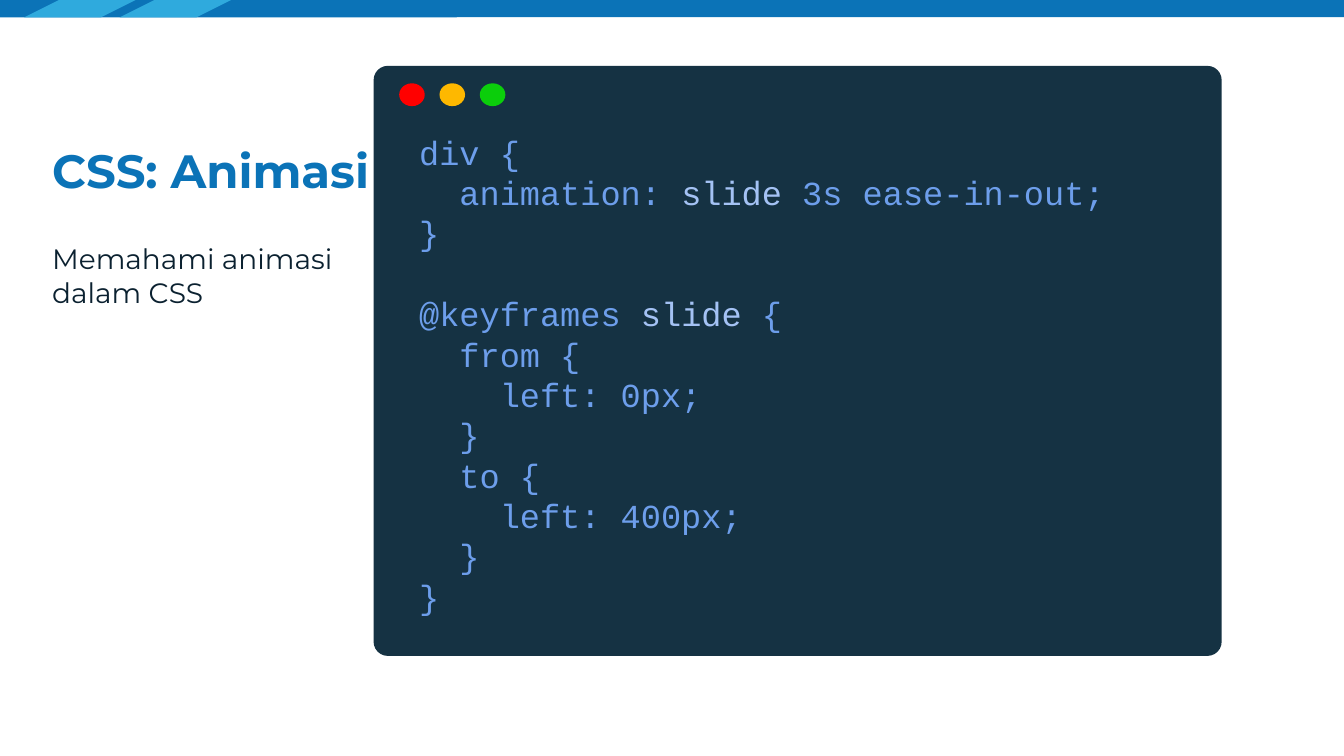
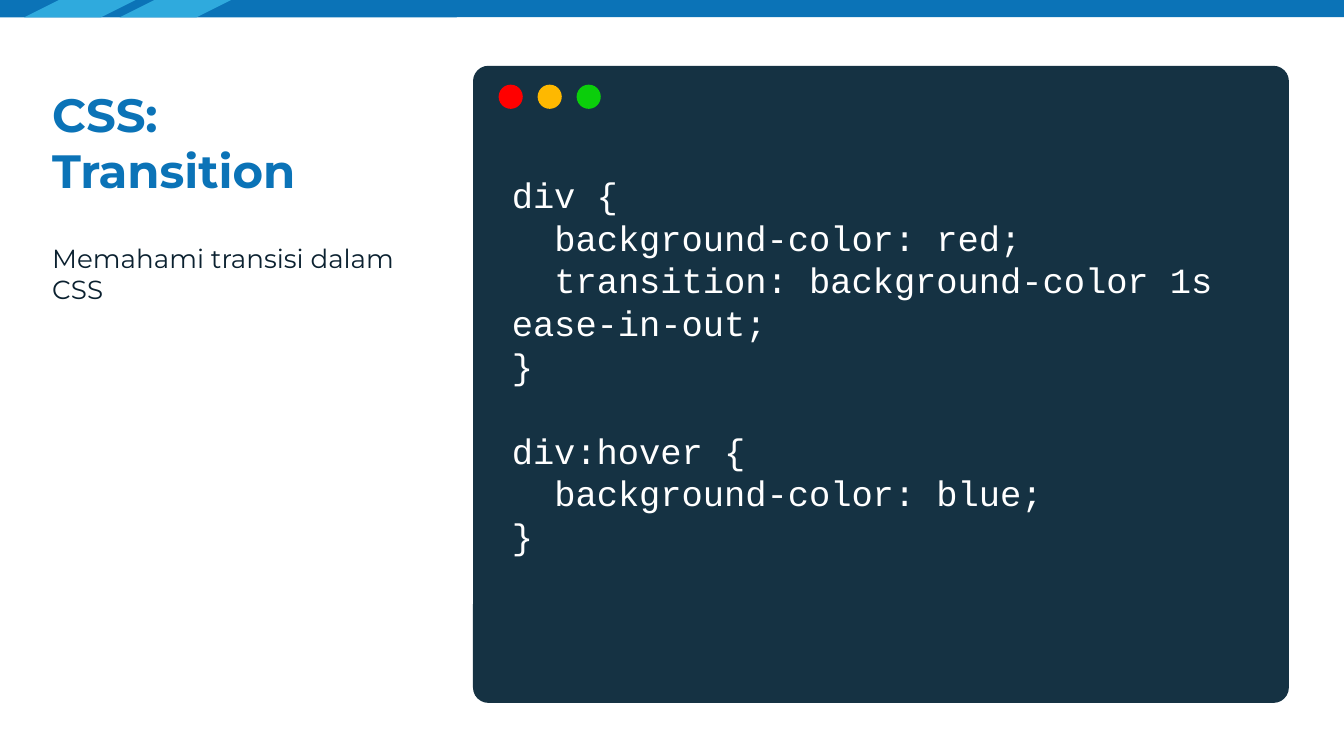
from pptx import Presentation
from pptx import util as u
from pptx.dml.color import RGBColor
from pptx.enum import shapes, text

WIDTH = 10
HEIGHT = WIDTH * 9 / 16
BAND = 0.13
MARGIN = 0.29
COLUMN = 2.76
HEADING_FONT, CODE_FONT = "Montserrat", "Courier New"
CHAR_WIDTH = 0.6      # width of a code letter, in font sizes
LINE_HEIGHT = 1.21    # height of a code line, in font sizes

COLORS = {
    "white": "FFFFFF", "band": "0B73B7", "stripe": "2FAADD",
    "body": "0B2130", "window": "153243",
    "close": "FF0000", "minimise": "FEB800", "zoom": "0BCE0B",
    "code": "6D9EEB", "name": "A4C2F4",
}

# Each code line: indent in letters, then (text, colour) runs; None is a gap
ANIMATION_CODE = [
    (0, [("div {", "code")]),
    (2, [("animation: ", "code"), ("slide", "name"),
         (" 3s ease-in-out;", "code")]),
    (0, [("}", "code")]),
    None,
    (0, [("@keyframes ", "code"), ("slide", "name"), (" {", "code")]),
    (2, [("from {", "code")]),
    (4, [("left: 0px;", "code")]),
    (2, [("}", "code")]),
    (2, [("to {", "code")]),
    (4, [("left: 400px;", "code")]),
    (2, [("}", "code")]),
    (0, [("}", "code")]),
]
TRANSITION_CODE = [
    (0, [("div {", "white")]),
    (2, [("background-color: red;", "white")]),
    (2, [("transition: background-color 1s ease-in-out;", "white")]),
    (0, [("}", "white")]),
    None,
    (0, [("div:hover {", "white")]),
    (2, [("background-color: blue;", "white")]),
    (0, [("}", "white")]),
]


def rgb(color):
    return RGBColor.from_string(COLORS[color])


def add_block(slide, kind, box, color, adjust=None):
    block = slide.shapes.add_shape(kind, *map(u.Inches, box))
    block.shadow.inherit = False
    block.fill.solid()
    block.fill.fore_color.rgb = rgb(color)
    block.line.fill.background()
    if adjust is not None:
        block.adjustments[0] = adjust


def add_frame(slide, box, anchor=text.MSO_ANCHOR.TOP):
    frame = slide.shapes.add_textbox(*map(u.Inches, box)).text_frame
    frame.word_wrap = True
    frame.vertical_anchor = anchor
    frame.margin_left = frame.margin_right = u.Inches(0.1)
    frame.margin_top = frame.margin_bottom = u.Inches(0.1)
    return frame


def add_run(paragraph, words, font, size, color, bold=False):
    run = paragraph.add_run()
    run.text = words
    run.font.name = font
    run.font.size = u.Pt(size)
    run.font.bold = bold
    run.font.color.rgb = rgb(color)


def add_background(slide):
    kinds = shapes.MSO_SHAPE
    add_block(slide, kinds.RECTANGLE, (0, 0, WIDTH, BAND), "band")
    for left in (0.18, 0.89):
        add_block(slide, kinds.PARALLELOGRAM, (left, 0, 0.83, BAND), "stripe", 2)
    add_block(slide, kinds.RECTANGLE,
              (0.34 * WIDTH, BAND, 0.66 * WIDTH, HEIGHT - BAND), "white")


def add_heading(slide, title, subtitle, subtitle_size):
    frame = add_frame(slide, (MARGIN, 0.53, COLUMN, 1.04), text.MSO_ANCHOR.BOTTOM)
    add_run(frame.paragraphs[0], title, HEADING_FONT, 25, "band", True)
    frame = add_frame(slide, (MARGIN, 1.7, COLUMN, 1.35))
    add_run(frame.paragraphs[0], subtitle, HEADING_FONT, subtitle_size, "body")


def add_window(slide, box, dot_top, dot_size, dot_pitch):
    add_block(slide, shapes.MSO_SHAPE.ROUNDED_RECTANGLE, box, "window", 0.024)
    for index, button in enumerate(("close", "minimise", "zoom")):
        left = box[0] + 0.19 + index * dot_pitch
        add_block(slide, shapes.MSO_SHAPE.OVAL, (left, dot_top, *dot_size), button)


def add_code(slide, box, lines, size):
    frame = add_frame(slide, box)
    paragraph, gap = frame.paragraphs[0], False
    for number, line in enumerate(lines):
        if line is None:
            gap = True
            continue
        if number:
            paragraph = frame.add_paragraph()
        indent, runs = line
        # Exact pitch keeps the lines even
        if gap:
            paragraph.space_before = u.Pt(LINE_HEIGHT * size)
            gap = False
        # Only the first line is indented, so wrapped code returns to the edge
        properties = paragraph._p.get_or_add_pPr()
        properties.set("marL", "0")
        properties.set("indent", str(int(u.Pt(indent * CHAR_WIDTH * size))))
        for words, color in runs:
            add_run(paragraph, words, CODE_FONT, size, color)


def main():
    deck = Presentation()
    deck.slide_width, deck.slide_height = u.Inches(WIDTH), u.Inches(HEIGHT)
    blank = deck.slide_layouts[6]

    # Animation
    animation = deck.slides.add_slide(blank)
    add_background(animation)
    add_heading(animation, "CSS: Animasi", "Memahami animasi dalam CSS", 15)
    add_window(animation, (2.78, 0.49, 6.31, 4.39), 0.62, (0.19, 0.17), 0.3)
    add_code(animation, (3.02, 0.88, 5.88, 3.84), ANIMATION_CODE, 18)

    # Transition
    transition = deck.slides.add_slide(blank)
    add_background(transition)
    add_heading(transition, "CSS: Transition", "Memahami transisi dalam CSS", 14)
    add_window(transition, (3.52, 0.49, 6.07, 4.74), 0.63, (0.18, 0.18), 0.29)
    add_code(transition, (3.71, 1.19, 5.65, 3.08), TRANSITION_CODE, 19)

    deck.save("out.pptx")


if __name__ == "__main__":
    main()
